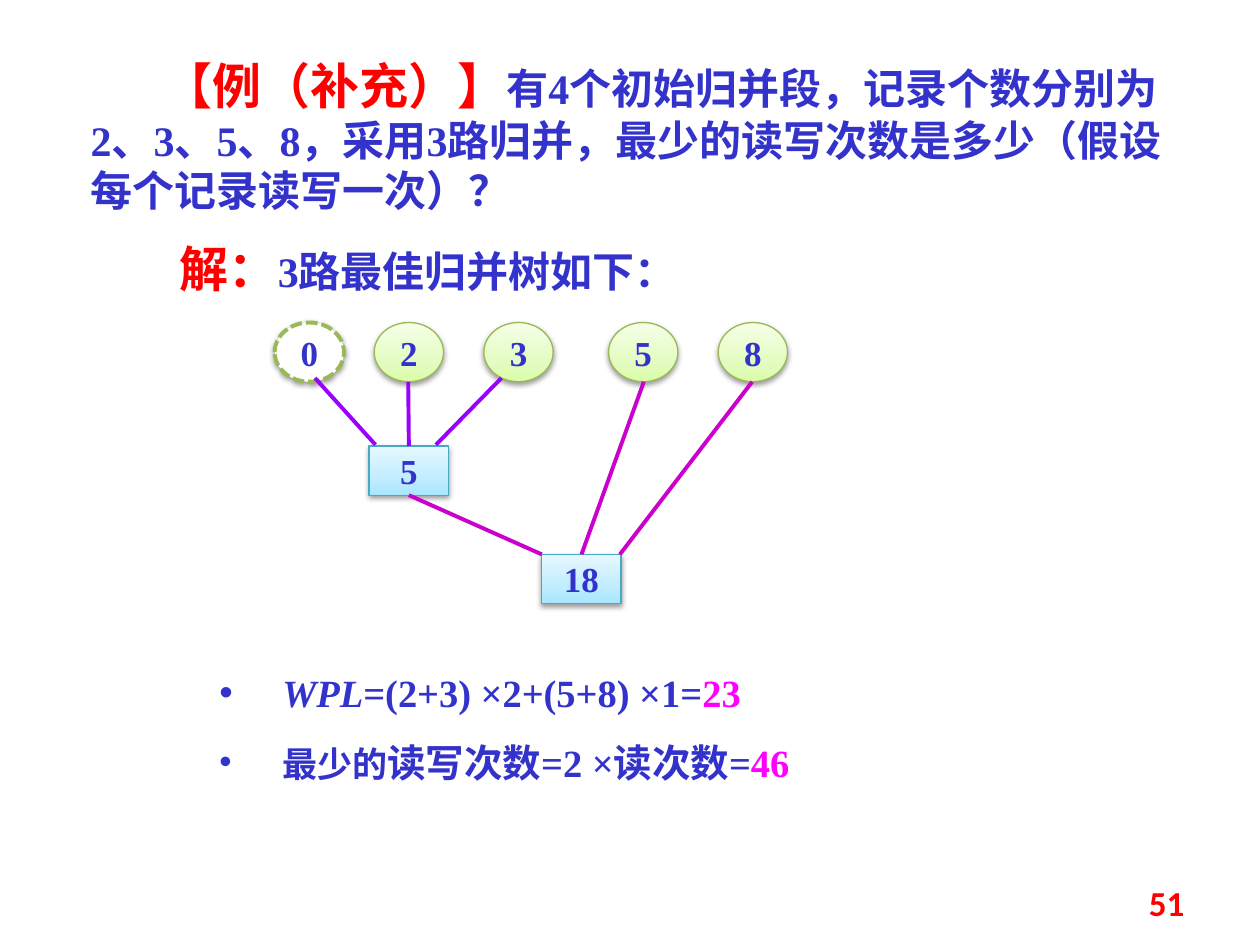
from lxml import etree
from pptx import Presentation
from pptx.dml.color import RGBColor
from pptx.enum import dml, shapes, text
from pptx.oxml import parse_xml
from pptx.oxml.ns import nsdecls, qn
from pptx.util import Inches, Pt

HUES = {
    "ink": "3333CC", "red": "FF0000", "pink": "FF00FF", "white": "FFFFFF",
    "leaf": "98B955", "sum": "46AAC5", "low": "9900FF", "high": "CC00CC",
}
FADES = {
    "leaf": ("DAFDA7", "E4FCC2", "F5FFE7"),
    "sum": ("A7E6FF", "C1EDFF", "E7F8FF"),
}
ROMAN = "Times New Roman"


def hue(name):
    return RGBColor.from_string(HUES[name])


class Deck:
    def __init__(self):
        self.prs = Presentation()
        self.prs.slide_width, self.prs.slide_height = Inches(10), Inches(7.5)
        self.slide = self.prs.slides.add_slide(self.prs.slide_layouts[1])

    def run(self, para, words, size, color="ink", face=ROMAN, slant=False):
        run = para.add_run()
        run.text = words
        font = run.font
        font.name, font.size = face, Pt(size)
        font.bold, font.italic = True, slant
        font.color.rgb = hue(color)

    def place(self, shape, box):
        """Move a text shape and return its frame, wrapped and top anchored."""
        shape.left, shape.top, shape.width, shape.height = map(Inches, box)
        frame = shape.text_frame
        frame.word_wrap = True
        frame.auto_size = text.MSO_AUTO_SIZE.NONE
        frame.vertical_anchor = text.MSO_ANCHOR.TOP
        return frame

    def title(self, box, runs, indent):
        para = self.place(self.slide.shapes.title, box).paragraphs[0]
        para.alignment = text.PP_ALIGN.LEFT
        para._p.get_or_add_pPr().set("indent", str(Inches(indent)))
        for item in runs:
            self.run(para, *item)

    def bullets(self, box, rows):
        frame = self.place(self.slide.placeholders[1], box)
        for i, runs in enumerate(rows):
            para = frame.add_paragraph() if i else frame.paragraphs[0]
            props = para._p.get_or_add_pPr()
            props.set("marL", str(Inches(0.5)))
            props.set("indent", str(-Inches(0.5)))
            etree.SubElement(props, qn("a:buChar")).set("char", "•")
            para.line_spacing, para.space_before = 1.5, Pt(0)
            for words, size, color, slant in runs:
                self.run(para, words, size, color, slant=slant)

    def label(self, box, runs, align=text.PP_ALIGN.LEFT):
        frame = self.place(self.slide.shapes.add_textbox(0, 0, 0, 0), box)
        para = frame.paragraphs[0]
        para.alignment = align
        for item in runs:
            self.run(para, *item)

    def fade(self, shape, kind):
        stops = "".join(
            f'<a:gs pos="{pos}"><a:srgbClr val="{color}"/></a:gs>'
            for pos, color in zip((0, 35000, 100000), FADES[kind]))
        grad = parse_xml(
            f'<a:gradFill {nsdecls("a")} rotWithShape="1"><a:gsLst>{stops}</a:gsLst>'
            '<a:lin ang="16200000" scaled="1"/></a:gradFill>')
        shape._element.spPr.find(qn("a:prstGeom")).addnext(grad)

    def shade(self, shape):
        shape._element.spPr.append(parse_xml(
            f'<a:effectLst {nsdecls("a")}><a:outerShdw blurRad="{Pt(3.1)}" '
            f'dist="{Pt(1.6)}" dir="5400000" rotWithShape="0"><a:srgbClr val="000000">'
            '<a:alpha val="38000"/></a:srgbClr></a:outerShdw></a:effectLst>'))

    def node(self, kind, left, top, words, dashed=False):
        """Draw a leaf (ellipse) or a sum (rectangle) of the merge tree."""
        form, wide, high = {
            "leaf": (shapes.MSO_SHAPE.OVAL, 0.55, 0.47),
            "sum": (shapes.MSO_SHAPE.RECTANGLE, 0.63, 0.39),
        }[kind]
        shape = self.slide.shapes.add_shape(
            form, *map(Inches, (left, top, wide, high)))
        shape.line.color.rgb = hue(kind)
        shape.line.width = Pt(2.25 if dashed else 0.75)
        if dashed:
            shape.fill.solid()
            shape.fill.fore_color.rgb = hue("white")
            shape.line.dash_style = dml.MSO_LINE.SQUARE_DOT
        else:
            self.fade(shape, kind)
        self.shade(shape)
        frame = shape.text_frame
        frame.word_wrap = False
        frame.vertical_anchor = text.MSO_ANCHOR.MIDDLE
        para = frame.paragraphs[0]
        para.alignment = text.PP_ALIGN.CENTER
        self.run(para, words, 20)
        return shape

    def link(self, start, end, color, tail=None, head=None):
        """Join two points; tail and head are rectangles to glue to."""
        line = self.slide.shapes.add_connector(
            shapes.MSO_CONNECTOR.STRAIGHT, *map(Inches, start + end))
        if tail is not None:
            line.begin_connect(tail, 2)
        if head is not None:
            line.end_connect(head, 0)
        line.line.color.rgb = hue(color)
        line.line.width = Pt(2.25)
        etree.SubElement(line._element.spPr, qn("a:effectLst"))


def main():
    deck = Deck()

    # Question and answer heading
    deck.title((0.62, 0.39, 8.98, 1.38), [
        ("【例（补充）】", 28, "red"),
        ("有4个初始归并段，记录个数分别为2、3、5、8，采用3路归并，"
         "最少的读写次数是多少（假设每个记录读写一次）？", 24),
    ], indent=0.58)
    deck.label((1.33, 1.84, 4.92, 0.57), [
        ("解：", 28, "red"), ("3路最佳归并树如下：", 24)])

    # Tree nodes
    for left, words in zip((2.18, 2.97, 3.84, 4.83, 5.7), "02358"):
        deck.node("leaf", left, 2.56, words, dashed=words == "0")
    five = deck.node("sum", 2.93, 3.54, "5")
    root = deck.node("sum", 4.3, 4.4, "18")

    # Tree branches
    deck.link((2.5, 3), (2.98, 3.53), "low")
    deck.link((3.98, 3), (3.46, 3.53), "low")
    deck.link((3.24, 3.03), (3.24, 3.54), "low", head=five)
    deck.link((3.24, 3.93), (4.3, 4.4), "high", tail=five)
    deck.link((5.11, 3.03), (4.61, 4.4), "high", head=root)
    deck.link((5.97, 3.03), (4.92, 4.4), "high")

    # Results
    deck.bullets((1.64, 5.08, 6.72, 1.21), [
        [("WPL", 22, "ink", True), ("=(2+3) ×2+(5+8) ×1=", 22, "ink", False),
         ("23", 22, "pink", False)],
        [("最少的", 20, "ink", False), ("读写次数=2 ×读次数=", 22, "ink", False),
         ("46", 22, "pink", False)],
    ])

    # Page number
    deck.label((7.17, 6.95, 2.33, 0.4), [("51", 20, "red", "Calibri")],
               text.PP_ALIGN.RIGHT)

    deck.prs.save("out.pptx")


if __name__ == "__main__":
    main()
